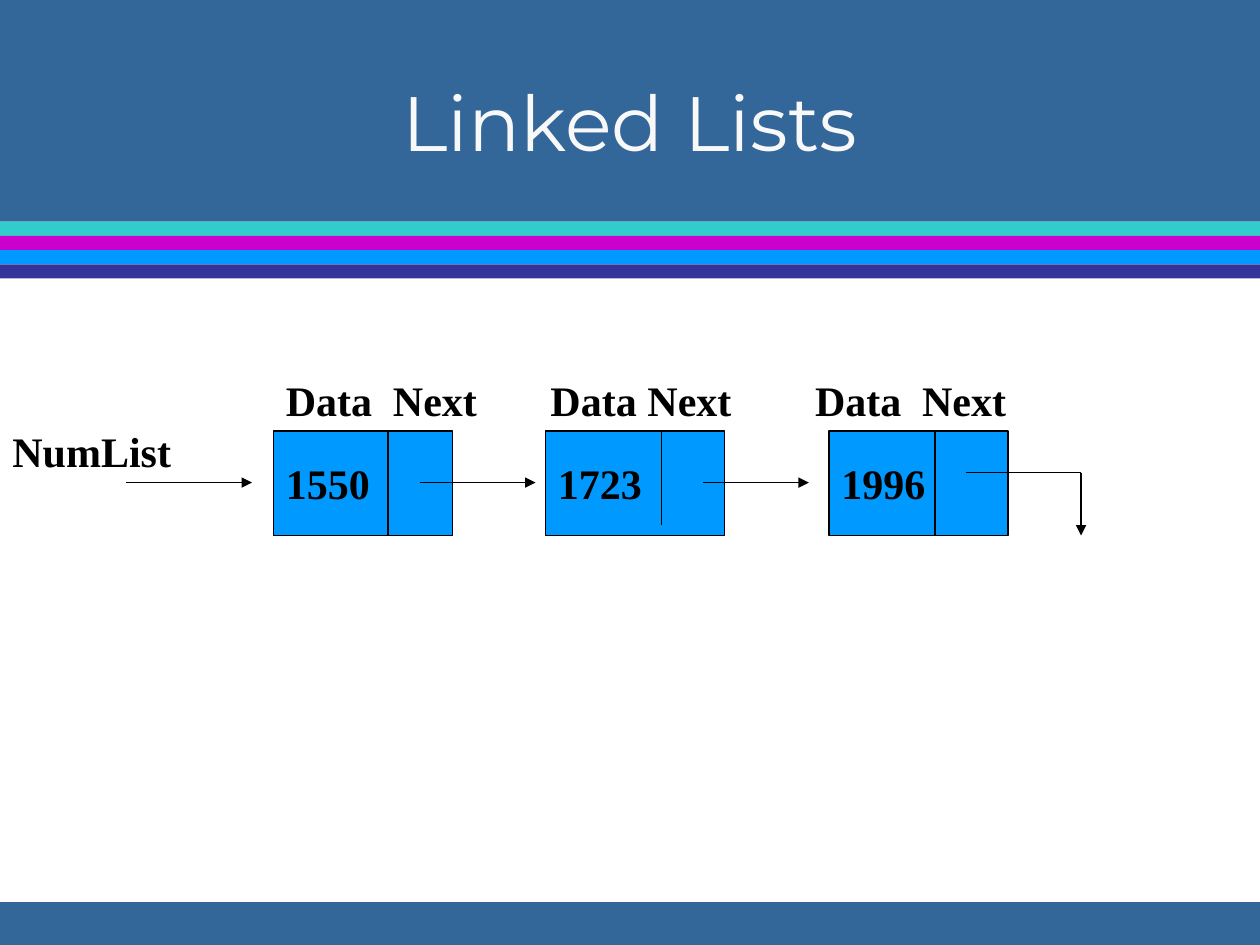
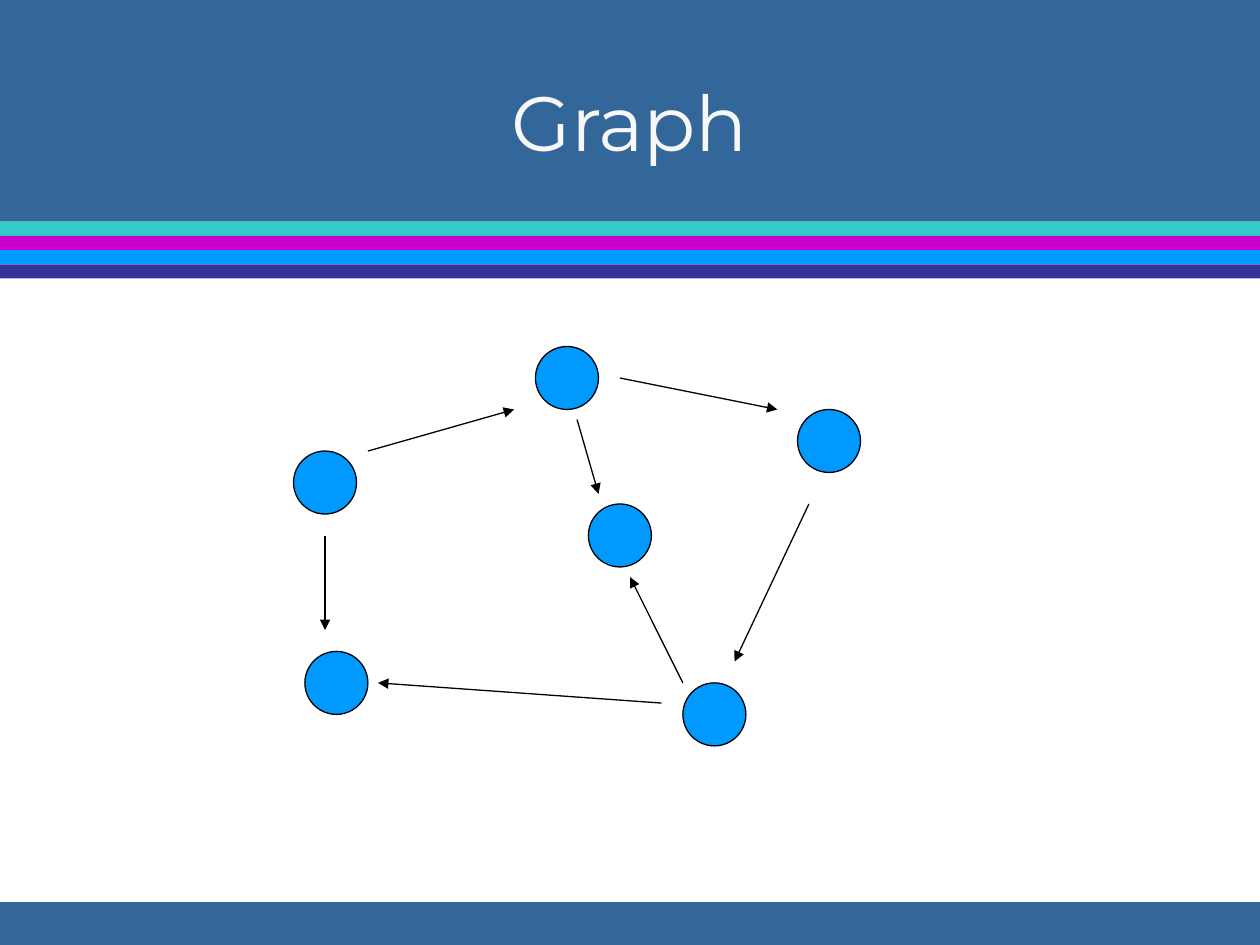
from lxml.etree import SubElement
from pptx import Presentation
from pptx.dml.color import RGBColor
from pptx.enum.shapes import MSO_CONNECTOR, MSO_SHAPE
from pptx.enum.text import MSO_ANCHOR, PP_ALIGN
from pptx.oxml.ns import qn
from pptx.util import Inches, Pt

COLORS = {
    "backdrop": "969696",
    "page": "FFFFFF",
    "header": "336699",
    "teal": "33CCCC",
    "magenta": "CC00CC",
    "node": "0099FF",
    "indigo": "333399",
    "title": "F8F8F8",
    "ink": "000000",
}


def add_filled_shape(slide, kind, box, color, outlined=True):
    shape = slide.shapes.add_shape(kind, *map(Inches, box))
    shape.shadow.inherit = False
    shape.fill.solid()
    shape.fill.fore_color.rgb = RGBColor.from_string(COLORS[color])
    if outlined:
        shape.line.color.rgb = RGBColor.from_string(COLORS["ink"])
        shape.line.width = Pt(0.75)
    else:
        shape.line.fill.background()
    return shape


def add_line(slide, start, end, arrow=True):
    connector = slide.shapes.add_connector(
        MSO_CONNECTOR.STRAIGHT, *map(Inches, (*start, *end))
    )
    connector.line.color.rgb = RGBColor.from_string(COLORS["ink"])
    connector.line.width = Pt(0.75)
    properties = connector.element.spPr
    if arrow:
        SubElement(properties.find(qn("a:ln")), qn("a:tailEnd"), type="triangle")
    SubElement(properties, qn("a:effectLst"))


presentation = Presentation()
presentation.slide_width = Inches(10)
presentation.slide_height = Inches(7.5)

layout = presentation.slide_layouts[5]
layout.background.fill.solid()
layout.background.fill.fore_color.rgb = RGBColor.from_string(COLORS["backdrop"])
layout_title = layout.placeholders[0]
layout_title.left, layout_title.top = Inches(0.75), Inches(0.33)
layout_title.width, layout_title.height = Inches(8.5), Inches(1.25)

slides = []
for title_text in ("Linked Lists", "Graph"):
    slide = presentation.slides.add_slide(layout)
    title_frame = slide.shapes.title.text_frame
    title_frame.text = title_text
    title_frame.vertical_anchor = MSO_ANCHOR.MIDDLE
    paragraph = title_frame.paragraphs[0]
    paragraph.alignment = PP_ALIGN.CENTER
    font = paragraph.runs[0].font
    font.name = "Montserrat"
    font.size = Pt(44)
    font.color.rgb = RGBColor.from_string(COLORS["title"])
    slides.append(slide)
list_slide, graph_slide = slides

header_bottom = 1.76
stripe_height = (2.21 - header_bottom) / 4
bands = [("page", 1.5, 6), ("header", 7.16, 0.34), ("header", 0, header_bottom)]
for index, color in enumerate(("teal", "magenta", "node", "indigo")):
    bands.append((color, header_bottom + index * stripe_height, stripe_height))
for index, (color, top, height) in enumerate(bands):
    band = add_filled_shape(
        list_slide, MSO_SHAPE.RECTANGLE, (0, top, 10, height), color, outlined=False
    )
    layout.shapes.element.insert(2 + index, band.element)

list_nodes = [
    ("1550", 2.17, 3.08, 4.25),
    ("1723", 4.33, 5.25, 4.17),
    ("1996", 6.58, 7.42, 4.25),
]
for value, left, divider, divider_bottom in list_nodes:
    add_filled_shape(list_slide, MSO_SHAPE.RECTANGLE, (left, 3.42, 1.42, 0.83), "node")
    add_line(list_slide, (divider, 3.42), (divider, divider_bottom), arrow=False)

for start, end in ((1, 2), (3.33, 4.25), (5.58, 6.42)):
    add_line(list_slide, (start, 3.83), (end, 3.83))
add_line(list_slide, (7.67, 3.75), (8.58, 3.75), arrow=False)
add_line(list_slide, (8.58, 3.75), (8.58, 4.25))

labels = [
    ("\t".join(["Data", "Next"] * 3), 2.17, 2.92, 6.08),
    ("NumList", 0, 3.33, 1.67),
]
labels += [(value, left, 3.58, 1) for value, left, *_ in list_nodes]
for text, left, top, width in labels:
    label = list_slide.shapes.add_textbox(*map(Inches, (left, top, width, 0.5)))
    label.text_frame.word_wrap = True
    paragraph = label.text_frame.paragraphs[0]
    paragraph.text = text
    if "\t" in text:
        tab_list = SubElement(paragraph._p.get_or_add_pPr(), qn("a:tabLst"))
        for position in (0.85, 2.1, 2.87, 4.2, 5.05):
            SubElement(tab_list, qn("a:tab"), pos=str(Inches(position)), algn="l")
    font = paragraph.runs[0].font
    font.name = "Times New Roman"
    font.size = Pt(24)
    font.bold = True
    font.color.rgb = RGBColor.from_string(COLORS["ink"])

graph_nodes = [
    (4.25, 2.75), (5.42, 5.42), (6.33, 3.25), (2.42, 5.17), (2.33, 3.58), (4.67, 4),
]
for left, top in graph_nodes:
    add_filled_shape(graph_slide, MSO_SHAPE.OVAL, (left, top, 0.5, 0.5), "node")

graph_edges = [
    ((2.92, 3.58), (4.08, 3.25)),
    ((4.58, 3.33), (4.75, 3.92)),
    ((2.58, 4.25), (2.58, 5)),
    ((5.25, 5.58), (3, 5.42)),
    ((6.42, 4), (5.83, 5.25)),
    ((4.92, 3), (6.17, 3.25)),
    ((5.42, 5.42), (5, 4.58)),
]
for start, end in graph_edges:
    add_line(graph_slide, start, end)

presentation.save("out.pptx")
